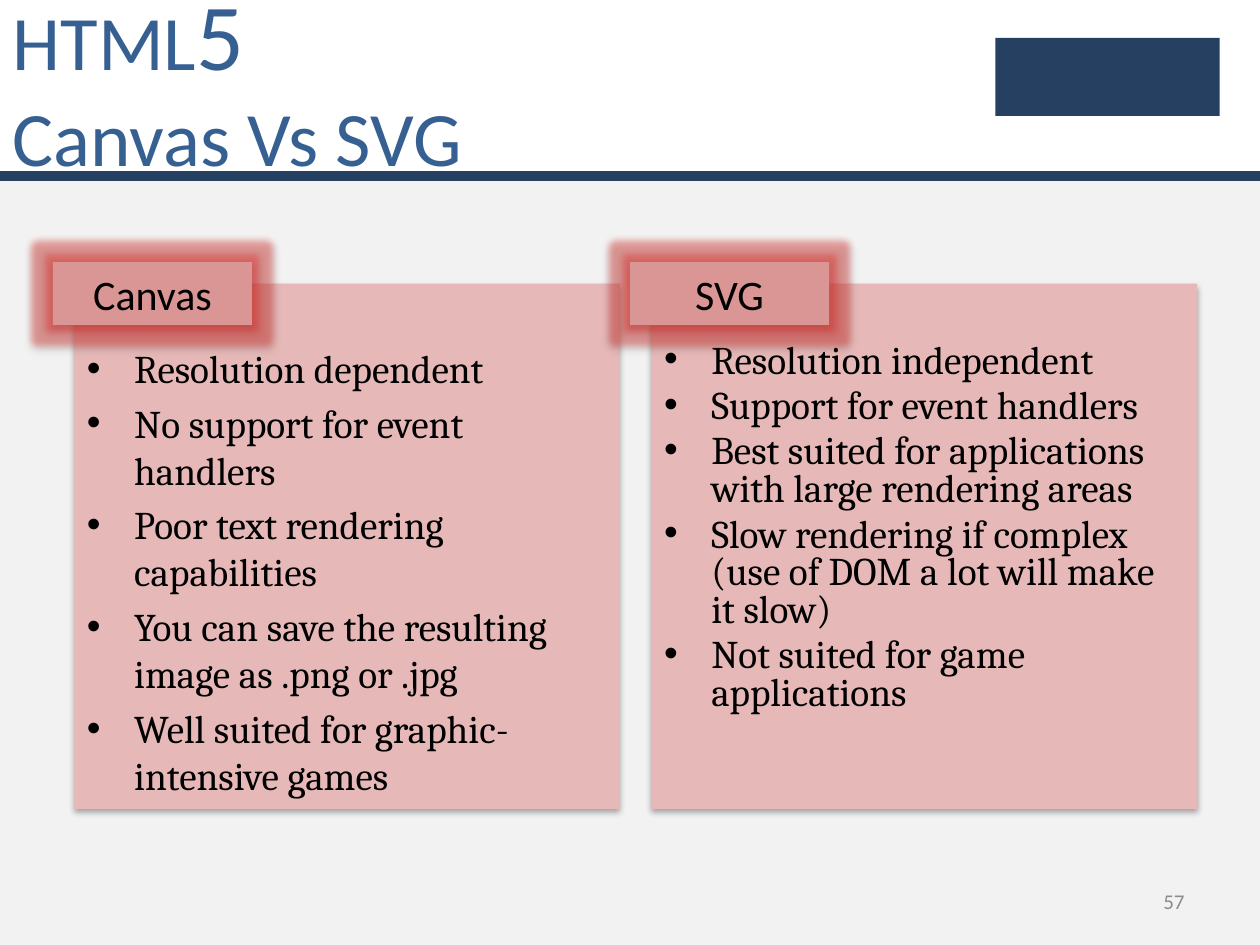
import pptx
import pptx.util
import pptx.dml.color
import pptx.enum.shapes
import pptx.enum.text
import pptx.oxml
import pptx.oxml.ns
from dataclasses import dataclass

Inches = pptx.util.Inches
Pt = pptx.util.Pt
Align = pptx.enum.text.PP_ALIGN
Anchor = pptx.enum.text.MSO_ANCHOR
RECTANGLE = pptx.enum.shapes.MSO_SHAPE.RECTANGLE


@dataclass(frozen=True)
class Theme:
    backdrop: str = "F2F2F2"
    navy: str = "254061"
    title: str = "376092"
    panel: str = "E6B9B8"
    label: str = "D99694"
    glow: str = "E0322D"
    ink: str = "000000"
    muted: str = "8C8C8C"
    sans: str = "Calibri"
    serif: str = "Cambria"
    title_size: float = 44
    digit_size: float = 54
    list_size: float = 22.4
    label_size: float = 24
    number_size: float = 12


theme = Theme()


def style(font, name, size, color):
    font.name, font.size = name, Pt(size)
    font.color.rgb = pptx.dml.color.RGBColor.from_string(color)


def paint(shape, color, glow=""):
    shape.fill.solid()
    shape.fill.fore_color.rgb = pptx.dml.color.RGBColor.from_string(color)
    shape.line.fill.background()
    if color in (theme.panel, theme.label):
        shape._element.spPr.append(pptx.oxml.parse_xml(
            f'<a:effectLst {pptx.oxml.ns.nsdecls("a")}>{glow}'
            f'<a:outerShdw blurRad="{Pt(3.5)}" dist="{Pt(2.2)}" dir="5400000" rotWithShape="0">'
            f'<a:srgbClr val="{theme.ink}"><a:alpha val="32000"/></a:srgbClr>'
            '</a:outerShdw></a:effectLst>'))
    else:
        shape.shadow.inherit = False


deck = pptx.Presentation()
deck.slide_width, deck.slide_height = Inches(10), Inches(7.5)
slide = deck.slides.add_slide(deck.slide_layouts[3])
shapes = slide.shapes

backdrop = shapes.add_shape(RECTANGLE, 0, Inches(1.42), Inches(10), Inches(6.08))
paint(backdrop, theme.backdrop)
shapes._spTree.insert(2, backdrop._element)

title = shapes.title
title.left, title.top, title.width, title.height = 0, Inches(-0.08), Inches(6.17), Inches(1.42)
title.text_frame.auto_size = pptx.enum.text.MSO_AUTO_SIZE.NONE
title.text_frame.vertical_anchor = Anchor.MIDDLE
heading = title.text_frame.paragraphs[0]
heading.alignment = Align.LEFT
for words, size in (("HTML", theme.title_size), ("5", theme.digit_size),
                    ("\n", None), ("Canvas Vs SVG", theme.title_size)):
    if words == "\n":
        heading.add_line_break()
        continue
    part = heading.add_run()
    part.text = words
    style(part.font, theme.sans, size, theme.title)

rule = shapes.add_shape(RECTANGLE, 0, Inches(1.37), Inches(10), Inches(0.05))
paint(rule, theme.navy)
rule.line.color.rgb = pptx.dml.color.RGBColor.from_string(theme.navy)
rule.line.width = Pt(2)

brand_block = shapes.add_shape(RECTANGLE, Inches(7.9), Inches(0.3), Inches(1.78), Inches(0.62))
paint(brand_block, theme.navy)

page_number = shapes.add_textbox(Inches(7.17), Inches(6.95), Inches(2.33), Inches(0.4)).text_frame
page_number.word_wrap = True
page_number.vertical_anchor = Anchor.MIDDLE
page_number.text = "57"
page_number.paragraphs[0].alignment = Align.RIGHT
style(page_number.paragraphs[0].font, theme.sans, theme.number_size, theme.muted)

columns = [
    ("Canvas", 0.42, 1.0, [
        "Resolution dependent",
        "No support for event handlers",
        "Poor text rendering capabilities",
        "You can save the resulting image as .png or .jpg",
        "Well suited for graphic-intensive games",
    ]),
    ("SVG", 5, 0.8, [
        "Resolution independent",
        "Support for event handlers",
        "Best suited for applications with large rendering areas",
        "Slow rendering if complex (use of DOM a lot will make it slow)",
        "Not suited for game applications",
    ]),
]
label_glow = (f'<a:glow rad="{Pt(8)}"><a:srgbClr val="{theme.glow}">'
              '<a:alpha val="40000"/></a:srgbClr></a:glow>')
for index, (name, left, spacing, points) in enumerate(columns, 1):
    panel = slide.placeholders[index]
    panel.left, panel.top = Inches(left + 0.17), Inches(2.25)
    panel.width, panel.height = Inches(4.33), Inches(4.17)
    paint(panel, theme.panel)
    panel.text_frame.auto_size = pptx.enum.text.MSO_AUTO_SIZE.NONE
    panel.text_frame.margin_top = Inches(0.48)
    panel.text_frame.text = "\n".join(points)
    for point in panel.text_frame.paragraphs:
        point.line_spacing = spacing
        style(point.font, theme.serif, theme.list_size, theme.ink)

    label = shapes.add_shape(RECTANGLE, Inches(left), Inches(2.08), Inches(1.58), Inches(0.5))
    paint(label, theme.label, label_glow)
    label.text_frame.text = name
    label.text_frame.paragraphs[0].alignment = Align.CENTER
    style(label.text_frame.paragraphs[0].font, theme.sans, theme.label_size, theme.ink)

deck.save("out.pptx")
